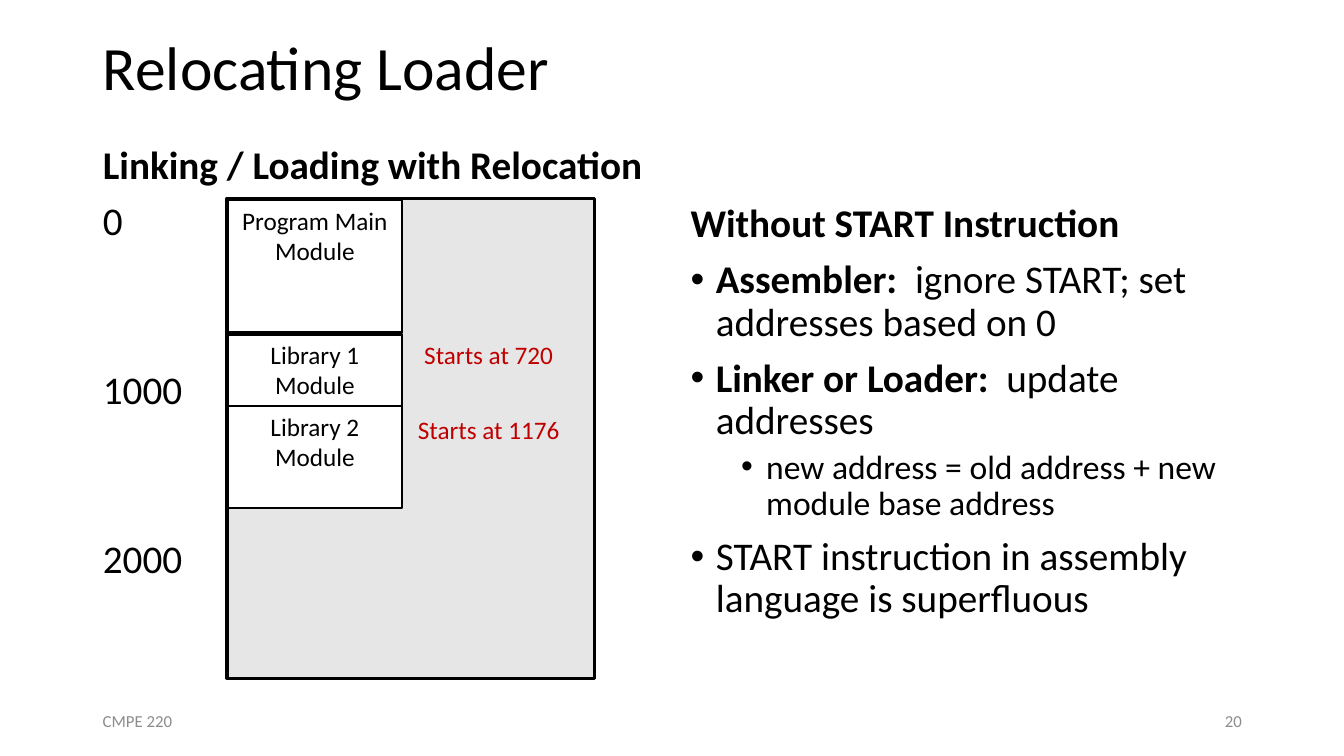
import pptx
import pptx.dml.color
import pptx.enum.shapes
import pptx.enum.text
import pptx.oxml
import pptx.oxml.ns
import pptx.util
from dataclasses import dataclass

Cm = pptx.util.Cm
Pt = pptx.util.Pt
ALIGN = pptx.enum.text.PP_ALIGN
ANCHOR = pptx.enum.text.MSO_ANCHOR

# Content
TITLE = "Relocating Loader"
DIAGRAM_HEADING = "Linking / Loading with Relocation"
ADDRESSES = ["0", "1000", "2000"]
# Module name, top and height in cm
MODULES = [
    ("Program Main Module", 5.05, 3.33),
    ("Library 1 Module", 8.43, 1.8),
    ("Library 2 Module", 10.24, 2.57),
]
# Start note, top in cm
START_NOTES = [("Starts at 720", 8.43), ("Starts at 1176", 10.31)]
RULES_HEADING = "Without START Instruction"
# Level, bold lead, plain text
RULES = [
    (0, "Assembler:  ", "ignore START; set addresses based on 0"),
    (0, "Linker or Loader:  ", "update addresses"),
    (1, "", "new address = old address + new module base address"),
    (0, "", "START instruction in assembly language is superfluous"),
]
FOOTER = "CMPE 220"
PAGE_NUMBER = "20"


@dataclass(frozen=True)
class Theme:
    font: str = "Calibri"
    text: str = "000000"
    note: str = "C00000"
    footer: str = "8C8C8C"
    memory: str = "E7E6E6"
    module: str = "FFFFFF"
    title_size: float = 44
    body_size: float = 28
    detail_size: float = 24
    label_size: float = 18
    footer_size: float = 12


THEME = Theme()

# Layout in cm
MARGIN, CONTENT_WIDTH = 2.34, 29.21
MEMORY_TOP, MODULE_LEFT, MODULE_WIDTH = 5.0, 5.74, 4.39
NOTE_LEFT, NOTE_WIDTH, LINE_BOX = 10.17, 4.29, 1.02
FOOTER_TOP, FOOTER_WIDTH = 17.65, 7.62
ADDRESS_GAP = 90.5  # points between address labels


def rgb(value):
    return pptx.dml.color.RGBColor.from_string(value)


def write(frame, text, lead="", size=THEME.body_size, color=THEME.text, bold=False,
          align=ALIGN.LEFT, spacing=1.0, before=0, level=0, bullet=False):
    """Add one paragraph, with an optional bold lead, to a text frame."""
    paragraph = frame.paragraphs[0]
    if paragraph.runs:
        paragraph = frame.add_paragraph()
    paragraph.alignment = align
    paragraph.line_spacing = spacing
    paragraph.space_before = Pt(before)
    paragraph.space_after = Pt(0)
    paragraph.level = level
    properties = paragraph._p.get_or_add_pPr()
    hanging = Cm(0.635) if bullet else 0
    properties.set("marL", str(hanging + level * Cm(1.27)))
    properties.set("indent", str(-hanging))
    if bullet:
        pptx.oxml.ns.qn("a:buFont")
        font = pptx.oxml.parse_xml(f'<a:buFont {pptx.oxml.ns.nsdecls("a")} typeface="Arial"/>')
        mark = pptx.oxml.parse_xml(f'<a:buChar {pptx.oxml.ns.nsdecls("a")} char="•"/>')
        properties.extend([font, mark])
    else:
        properties.append(pptx.oxml.parse_xml(f'<a:buNone {pptx.oxml.ns.nsdecls("a")}/>'))
    for words, is_bold in ((lead, True), (text, bold)):
        if words:
            run = paragraph.add_run()
            run.text = words
            run.font.name = THEME.font
            run.font.size = Pt(size)
            run.font.bold = is_bold
            run.font.color.rgb = rgb(color)


def prepare(shape, anchor=ANCHOR.TOP):
    frame = shape.text_frame
    frame.word_wrap = True
    frame.auto_size = pptx.enum.text.MSO_AUTO_SIZE.NONE
    frame.vertical_anchor = anchor
    return frame


def place(placeholder, left, top, width, height, anchor=ANCHOR.TOP):
    placeholder.left, placeholder.top = Cm(left), Cm(top)
    placeholder.width, placeholder.height = Cm(width), Cm(height)
    return prepare(placeholder, anchor)


def add_label(slide, left, top, width, anchor=ANCHOR.TOP):
    box = slide.shapes.add_textbox(Cm(left), Cm(top), Cm(width), Cm(LINE_BOX))
    return prepare(box, anchor)


def add_box(slide, left, top, width, height, fill, line_width):
    box = slide.shapes.add_shape(pptx.enum.shapes.MSO_SHAPE.RECTANGLE,
                                 Cm(left), Cm(top), Cm(width), Cm(height))
    box.shadow.inherit = False
    box.fill.solid()
    box.fill.fore_color.rgb = rgb(fill)
    box.line.color.rgb = rgb(THEME.text)
    box.line.width = Pt(line_width)
    return prepare(box)


def main():
    presentation = pptx.Presentation()
    presentation.slide_width, presentation.slide_height = Cm(33.87), Cm(19.05)
    slide = presentation.slides.add_slide(presentation.slide_layouts.get_by_name("Two Content"))
    title, addresses, rules = slide.placeholders

    # Title
    frame = place(title, MARGIN, 0.03, CONTENT_WIDTH, 3.5, ANCHOR.MIDDLE)
    write(frame, TITLE, size=THEME.title_size, spacing=0.9)

    # Loading rules
    frame = place(rules, 17.15, MEMORY_TOP, 14.4, 11.48)
    write(frame, RULES_HEADING, bold=True, spacing=0.9, before=10)
    for level, lead, text in RULES:
        write(frame, text, lead=lead, level=level, bullet=True, spacing=0.9,
              size=THEME.detail_size if level else THEME.body_size,
              before=5 if level else 10)

    # Heading and memory addresses
    frame = place(addresses, MARGIN, 3.53, 15.95, 13.56)
    write(frame, DIAGRAM_HEADING, bold=True, spacing=0.9, before=10)
    for index, address in enumerate(ADDRESSES):
        write(frame, address, spacing=0.9, before=ADDRESS_GAP if index else 10)

    # Memory with its loaded modules
    add_box(slide, 5.72, MEMORY_TOP, 9.27, 12.09, THEME.memory, 2.25)
    for name, top, height in MODULES:
        frame = add_box(slide, MODULE_LEFT, top, MODULE_WIDTH, height, THEME.module, 1.5)
        write(frame, name, size=THEME.label_size, align=ALIGN.CENTER)
    for note, top in START_NOTES:
        frame = add_label(slide, NOTE_LEFT, top, NOTE_WIDTH)
        write(frame, note, size=THEME.label_size, color=THEME.note, align=ALIGN.CENTER)

    # Footer and page number
    number_left = MARGIN + CONTENT_WIDTH - FOOTER_WIDTH
    for text, left, align in ((FOOTER, MARGIN, ALIGN.LEFT),
                              (PAGE_NUMBER, number_left, ALIGN.RIGHT)):
        frame = add_label(slide, left, FOOTER_TOP, FOOTER_WIDTH, ANCHOR.MIDDLE)
        write(frame, text, size=THEME.footer_size, color=THEME.footer, align=align)

    presentation.save("out.pptx")


if __name__ == "__main__":
    main()
